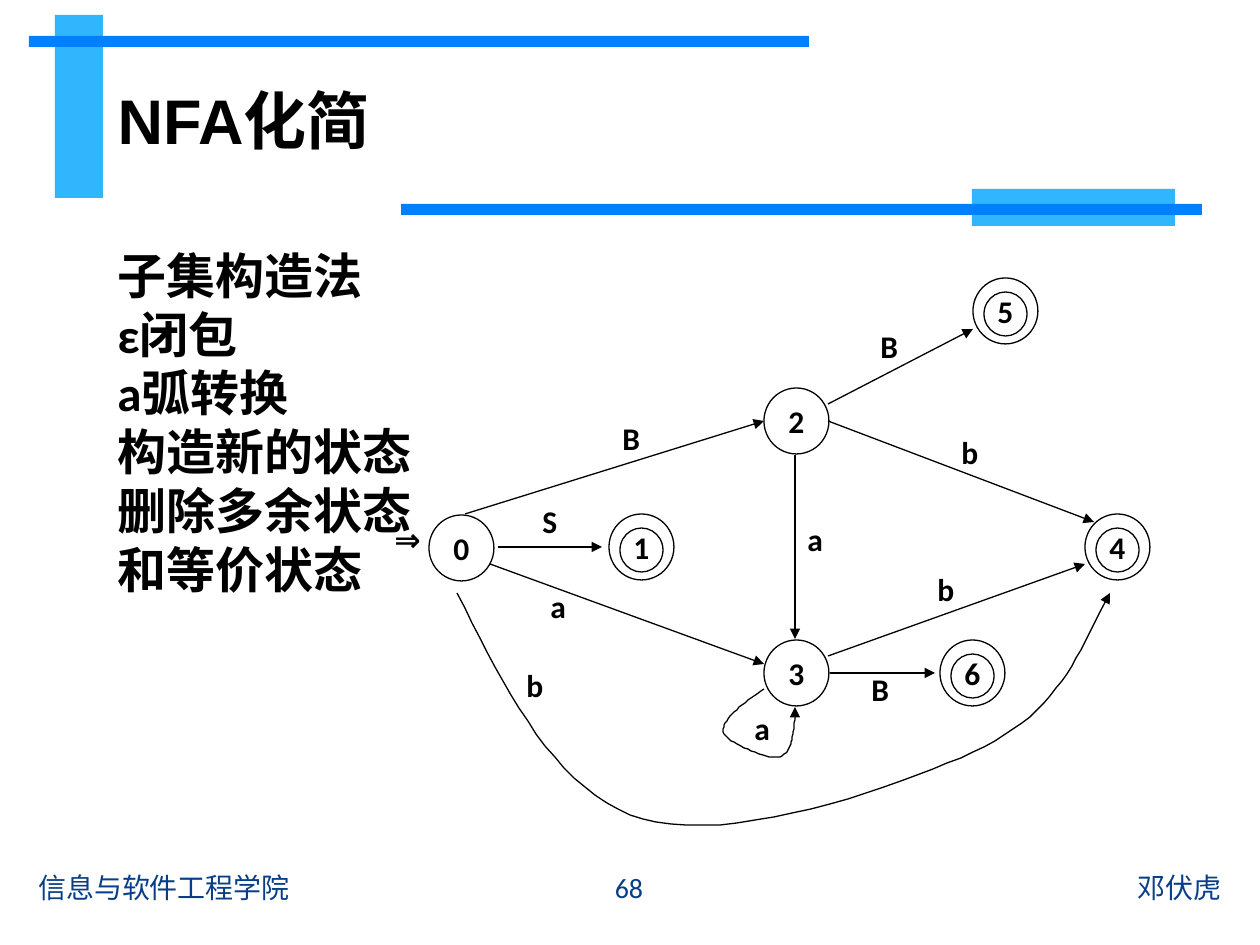
from lxml.etree import SubElement
from pptx import Presentation
from pptx.dml.color import RGBColor
from pptx.enum.shapes import MSO_CONNECTOR, MSO_SHAPE
from pptx.enum.text import MSO_ANCHOR, MSO_AUTO_SIZE, PP_ALIGN
from pptx.oxml.ns import qn
from pptx.util import Emu, Pt

PX = 914400 / 126
BLACK = RGBColor(0x00, 0x00, 0x00)
SKY = RGBColor(0x31, 0xB6, 0xFD)
BLUE = RGBColor(0x00, 0x80, 0xFF)
NAVY = RGBColor(0x07, 0x3E, 0x87)


def px(*lengths):
    return [Emu(round(length * PX)) for length in lengths]


class DiagramSlide:
    font = "Calibri"
    line_width = Pt(0.75)
    curve_steps = 20

    def __init__(self, presentation):
        self.slide = presentation.slides.add_slide(presentation.slide_layouts[5])
        self.shapes = self.slide.shapes

    def fill_text(self, shape, lines, size, color=BLACK, bold=True, align=PP_ALIGN.LEFT,
                  anchor=MSO_ANCHOR.TOP, wrap=False, font=None):
        frame = shape.text_frame
        frame.word_wrap = wrap
        frame.auto_size = MSO_AUTO_SIZE.NONE
        frame.vertical_anchor = anchor
        for index, line in enumerate(lines):
            paragraph = frame.add_paragraph() if index else frame.paragraphs[0]
            paragraph.alignment = align
            run = paragraph.add_run()
            run.text = line
            run.font.name = font or self.font
            run.font.size = Pt(size)
            run.font.bold = bold
            run.font.color.rgb = color

    def title(self, text, *box):
        shape = self.shapes.title
        shape.left, shape.top, shape.width, shape.height = px(*box)
        self.fill_text(shape, [text], 36, anchor=MSO_ANCHOR.MIDDLE, wrap=True, font="Arial")

    def text(self, lines, *box, size=18, **style):
        self.fill_text(self.shapes.add_textbox(*px(*box)), lines, size, **style)

    def footer(self, text, left, width, align):
        self.text([text], left, 862, width, 50, size=16, color=NAVY, bold=False,
                  align=align, anchor=MSO_ANCHOR.MIDDLE, wrap=True)

    def bar(self, color, *box):
        shape = self.shapes.add_shape(MSO_SHAPE.RECTANGLE, *px(*box))
        shape.shadow.inherit = False
        shape.fill.solid()
        shape.fill.fore_color.rgb = color
        shape.line.fill.background()

    def outline(self, shape):
        shape.shadow.inherit = False
        shape.fill.background()
        shape.line.color.rgb = BLACK
        shape.line.width = self.line_width

    def circle(self, center_x, center_y, width, height):
        box = px(center_x - width // 2, center_y - height // 2, width, height)
        shape = self.shapes.add_shape(MSO_SHAPE.OVAL, *box)
        self.outline(shape)
        return shape

    def state(self, name, center_x, center_y, final):
        shape = self.circle(center_x, center_y, 65, 66)
        self.fill_text(shape, [name], 18, align=PP_ALIGN.CENTER, anchor=MSO_ANCHOR.MIDDLE)
        if final:
            self.circle(center_x, center_y + 3, 43, 44)

    def arrow(self, *ends):
        connector = self.shapes.add_connector(MSO_CONNECTOR.STRAIGHT, *px(*ends))
        connector.line.color.rgb = BLACK
        connector.line.width = self.line_width
        properties = connector.element.spPr
        SubElement(properties.find(qn("a:ln")), qn("a:tailEnd"), type="triangle")
        SubElement(properties, qn("a:effectLst"))

    def curve(self, start, segments, tip):
        builder = self.shapes.build_freeform(*start, scale=PX)
        points = []
        for first, second, end in segments:
            for step in range(1, self.curve_steps + 1):
                t = step / self.curve_steps
                points.append([
                    (1 - t) ** 3 * a + 3 * t * (1 - t) ** 2 * b + 3 * t * t * (1 - t) * c + t ** 3 * d
                    for a, b, c, d in zip(start, first, second, end)
                ])
            start = end
        builder.add_line_segments(points, close=False)
        self.outline(builder.convert_to_shape())
        self.arrow(*start, *tip)


BARS = [
    (SKY, 55, 15, 48, 183),
    (BLUE, 29, 36, 780, 11),
    (SKY, 972, 189, 203, 37),
    (BLUE, 401, 204, 801, 11),
]
FOOTERS = [
    ("邓伏虎", 712, 522, PP_ALIGN.RIGHT),
    ("信息与软件工程学院", 26, 522, PP_ALIGN.LEFT),
    ("68", 549, 160, PP_ALIGN.CENTER),
]
STATES = [
    ("0", 461, 548, False),
    ("1", 641, 547, True),
    ("2", 796, 421, False),
    ("3", 796, 673, False),
    ("4", 1117, 547, True),
    ("5", 1005, 311, True),
    ("6", 972, 673, True),
]
TRANSITIONS = [
    (498, 547, 602, 547),
    (830, 673, 935, 673),
    (465, 514, 764, 421),
    (828, 421, 1094, 522),
    (828, 404, 973, 329),
    (490, 564, 764, 664),
    (828, 656, 1085, 564),
    (795, 455, 795, 639),
]
LABELS = [
    ("S", 530, 496), ("B", 859, 664), ("B", 610, 413), ("b", 949, 427),
    ("B", 868, 321), ("a", 538, 581), ("b", 925, 564), ("a", 795, 514),
    ("b", 514, 660), ("a", 742, 703),
]
LONG_CURVE = [
    ((507, 693), (557, 793), (643, 819)),
    ((728, 845), (896, 788), (973, 752)),
    ((1050, 718), (1075, 664), (1101, 610)),
]
SELF_LOOP = [
    ((742, 704), (721, 721), (723, 732)),
    ((726, 742), (767, 760), (780, 757)),
    ((791, 753), (794, 735), (795, 714)),
]
STEPS = ["子集构造法", "ε闭包", "a弧转换", "构造新的状态", "删除多余状态", "和等价状态"]


def main():
    presentation = Presentation()
    presentation.slide_width, presentation.slide_height = px(1260, 945)
    diagram = DiagramSlide(presentation)
    for bar in BARS:
        diagram.bar(*bar)
    for footer in FOOTERS:
        diagram.footer(*footer)
    diagram.title("NFA化简", 105, 55, 973, 129)
    for state in STATES:
        diagram.state(*state)
    for transition in TRANSITIONS:
        diagram.arrow(*transition)
    diagram.curve((457, 593), LONG_CURVE, (1110, 593))
    diagram.curve((764, 689), SELF_LOOP, (795, 707))
    for name, left, top in LABELS:
        diagram.text([name], left, top, 43, 50)
    diagram.text(["⇒"], 382, 514, 54, 49)
    diagram.text(STEPS, 105, 239, 323, 369, size=28)
    presentation.save("out.pptx")


if __name__ == "__main__":
    main()
